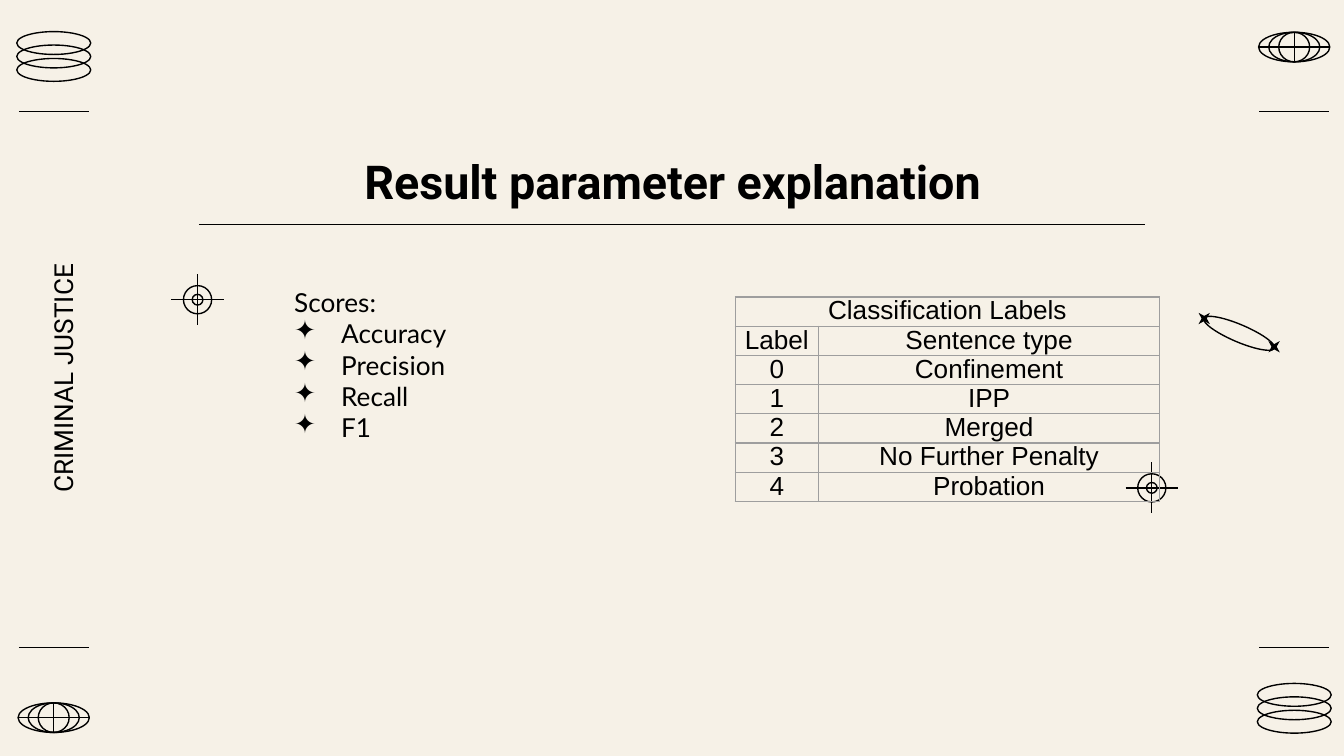
from lxml import etree
from pptx import Presentation
from pptx.dml.color import RGBColor
from pptx.enum import shapes, text
from pptx.oxml.ns import qn
from pptx.util import Inches, Pt

THEME = {
    "paper": RGBColor.from_string("F6F1E7"),
    "ink": RGBColor.from_string("000000"),
    "grid": "9E9E9E",
    "line": 0.75, "title": 25, "body": 14, "table spacing": 0.93,
    "heading font": "Roboto", "list font": "Lato", "table font": "Arial",
}

TITLE = "Result parameter explanation"
SIDE_LABEL = "CRIMINAL JUSTICE"
SCORES_HEADING = "Scores:"
SCORES = ["Accuracy", "Precision", "Recall", "F1"]
TABLE_HEADING = "Classification Labels"
TABLE_ROWS = [
    ("Label", "Sentence type"),
    ("0", "Confinement"),
    ("1", "IPP"),
    ("2", "Merged"),
    ("3", "No Further Penalty"),
    ("4", "Probation"),
]

LEFT, RIGHT = 0.4, 9.63  # centres of the margin ornaments
STACKS = [(RIGHT, 5.27), (LEFT, 0.42)]
GLOBES = [(RIGHT, 0.35), (LEFT, 5.34)]
TARGETS = [(8.57, 3.63), (1.47, 2.23)]
ORBIT_STARS = [(8.96, 2.37), (9.48, 2.58)]
MARGIN_RULES = [(x, y) for x in (LEFT, RIGHT) for y in (0.83, 4.82)]


def add_line(parent, x1, y1, x2, y2):
    line = parent.add_connector(shapes.MSO_CONNECTOR.STRAIGHT,
                                Inches(x1), Inches(y1), Inches(x2), Inches(y2))
    line.line.color.rgb = THEME["ink"]
    line.line.width = Pt(THEME["line"])
    etree.SubElement(line._element.spPr, qn("a:effectLst"))


def add_centred(parent, kind, x, y, width, height, rotation=0):
    shape = parent.add_shape(kind, Inches(x - width / 2), Inches(y - height / 2),
                             Inches(width), Inches(height))
    shape.shadow.inherit = False
    shape.rotation = rotation
    return shape


def add_ring(parent, x, y, width, height, rotation=0):
    ring = add_centred(parent, shapes.MSO_SHAPE.OVAL, x, y, width, height, rotation)
    ring.fill.background()
    ring.line.color.rgb = THEME["ink"]
    ring.line.width = Pt(THEME["line"])


def add_cross(parent, x, y, width, height):
    add_line(parent, x, y - height / 2, x, y + height / 2)
    add_line(parent, x - width / 2, y, x + width / 2, y)


def add_stack(page, x, y):
    group = page.shapes.add_group_shape().shapes
    for offset in (0.1, 0, -0.1):
        add_ring(group, x, y + offset, 0.17, 0.55, 270)


def add_globe(page, x, y):
    group = page.shapes.add_group_shape().shapes
    for width in (0.53, 0.38, 0.23):
        add_ring(group, x, y, width, 0.22)
    add_cross(group, x, y, 0.53, 0.22)


def add_target(page, x, y):
    group = page.shapes.add_group_shape().shapes
    for size in (0.21, 0.08):
        add_ring(group, x, y, size, size)
    add_cross(group, x, y, 0.39, 0.38)


def add_orbit(page):
    group = page.shapes.add_group_shape().shapes
    add_ring(group, 9.22, 2.48, 0.13, 0.57, 293)
    for x, y in ORBIT_STARS:
        star = add_centred(group, shapes.MSO_SHAPE.STAR_4_POINT, x, y, 0.12, 0.12, 45)
        star.adjustments[0] = 0.16
        star.fill.solid()
        star.fill.fore_color.rgb = THEME["ink"]
        star.line.fill.background()


def style(para, font, size, bold=False):
    para.font.name = font
    para.font.size = Pt(size)
    para.font.bold = bold
    para.font.color.rgb = THEME["ink"]


def add_text_frame(page, left, top, width, height, margin=0.0, rotation=0):
    box = page.shapes.add_textbox(Inches(left), Inches(top), Inches(width), Inches(height))
    box.rotation = rotation
    frame = box.text_frame
    frame.word_wrap = True
    frame.margin_left = frame.margin_right = Inches(margin)
    frame.margin_top = frame.margin_bottom = Inches(margin)
    return frame


def add_heading(page, words, place, size, bold=False, rotation=0):
    frame = add_text_frame(page, *place, rotation=rotation)
    frame.vertical_anchor = text.MSO_ANCHOR.TOP
    para = frame.paragraphs[0]
    para.text = words
    para.alignment = text.PP_ALIGN.CENTER
    style(para, THEME["heading font"], size, bold)


def add_scores(page):
    frame = add_text_frame(page, 1.94, 2.03, 1.75, 1.56, margin=0.1)
    frame.text = "\n".join([SCORES_HEADING, *SCORES])
    for index, para in enumerate(frame.paragraphs):
        props = para._p.get_or_add_pPr()
        if index:
            props.set("marL", str(Inches(0.5)))
            props.set("indent", str(Inches(-0.35)))
            colour = etree.SubElement(props, qn("a:buClr"))
            etree.SubElement(colour, qn("a:srgbClr"), val=str(THEME["ink"]))
            etree.SubElement(props, qn("a:buChar"), char="✦")
        else:
            props.set("marL", str(Inches(0.15)))
            props.set("indent", "0")
        style(para, THEME["list font"], THEME["body"])


def add_borders(cell):
    props = cell._tc.get_or_add_tcPr()
    for position, side in enumerate(("a:lnL", "a:lnR", "a:lnT", "a:lnB")):
        border = etree.Element(qn(side), w=str(Pt(THEME["line"])))
        fill = etree.SubElement(border, qn("a:solidFill"))
        etree.SubElement(fill, qn("a:srgbClr"), val=THEME["grid"])
        props.insert(position, border)


def add_labels_table(page):
    rows = [(TABLE_HEADING, ""), *TABLE_ROWS]
    widths, row_height = (0.62, 2.54), 0.19
    table = page.shapes.add_table(len(rows), len(widths), Inches(5.47), Inches(2.21),
                                  Inches(sum(widths)), Inches(row_height * len(rows))).table
    table.first_row = table.horz_banding = False
    for column, width in zip(table.columns, widths):
        column.width = Inches(width)
    for r, row in enumerate(rows):
        table.rows[r].height = Inches(row_height)
        for c, words in enumerate(row):
            cell = table.cell(r, c)
            cell.margin_left = cell.margin_right = cell.margin_top = cell.margin_bottom = 0
            cell.vertical_anchor = text.MSO_ANCHOR.MIDDLE
            cell.fill.background()
            add_borders(cell)
            para = cell.text_frame.paragraphs[0]
            para.text = words
            para.alignment = text.PP_ALIGN.CENTER
            para.line_spacing = THEME["table spacing"]
            style(para, THEME["table font"], THEME["body"])
    table.cell(0, 0).merge(table.cell(0, 1))


def main():
    deck = Presentation()
    deck.slide_width = Inches(10)
    deck.slide_height = deck.slide_width * 9 // 16
    page = deck.slides.add_slide(deck.slide_layouts[6])
    page.background.fill.solid()
    page.background.fill.fore_color.rgb = THEME["paper"]

    for centre in STACKS:
        add_stack(page, *centre)
    add_heading(page, SIDE_LABEL, (-1.34, 2.71, 3.59, 0.21), THEME["body"], rotation=270)
    for centre in GLOBES:
        add_globe(page, *centre)
    for x, y in MARGIN_RULES:
        add_line(page.shapes, x - 0.26, y, x + 0.26, y)
    add_orbit(page)
    for centre in TARGETS:
        add_target(page, *centre)

    add_heading(page, TITLE, (1.34, 1.14, 7.33, 0.46), THEME["title"], bold=True)
    add_labels_table(page)
    add_scores(page)
    add_line(page.shapes, 1.48, 1.67, 8.52, 1.67)
    deck.save("out.pptx")


if __name__ == "__main__":
    main()
